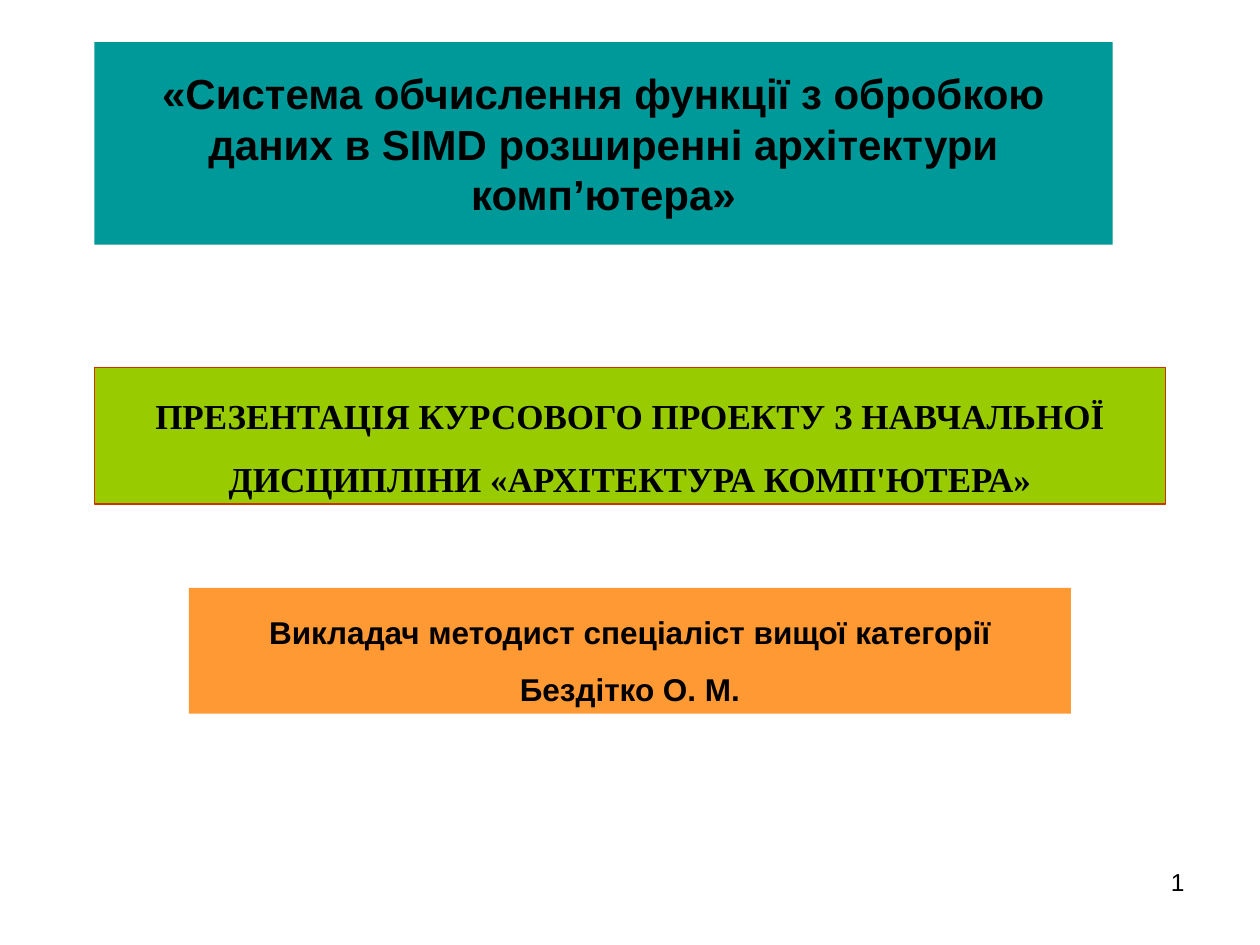
from dataclasses import dataclass

from pptx import Presentation
from pptx.dml.color import RGBColor
from pptx.enum.shapes import MSO_SHAPE as Shape
from pptx.enum.text import MSO_ANCHOR as Anchor, MSO_AUTO_SIZE as AutoSize, PP_ALIGN as Align
from pptx.util import Cm, Pt


@dataclass(frozen=True)
class Theme:
    teal: str = "009999"
    green: str = "99CC00"
    orange: str = "FF9933"
    red: str = "CC3300"
    white: str = "FFFFFF"
    ink: str = "000000"
    sans: str = "Arial"
    serif: str = "Times New Roman"
    title_size: int = 24
    subtitle_size: int = 20
    author_size: int = 18
    number_size: int = 14


THEME = Theme()


def write_text(shape, text, *, size, font=THEME.sans, bold=True,
               align=Align.CENTER, anchor=Anchor.TOP, line_spacing=1.0):
    frame = shape.text_frame
    frame.word_wrap = True
    frame.auto_size = AutoSize.NONE
    frame.vertical_anchor = anchor
    frame.margin_left = frame.margin_right = Cm(0.25)
    frame.margin_top = frame.margin_bottom = Cm(0.13)
    frame.text = text
    paragraph = frame.paragraphs[0]
    paragraph.alignment = align
    paragraph.line_spacing = line_spacing
    paragraph.space_before = Pt(0)
    run_font = paragraph.runs[0].font
    run_font.name, run_font.size, run_font.bold = font, Pt(size), bold
    run_font.color.rgb = RGBColor.from_string(THEME.ink)


def paint(shape, fill, line=None):
    shape.fill.solid()
    shape.fill.fore_color.rgb = RGBColor.from_string(fill)
    if line:
        shape.line.color.rgb = RGBColor.from_string(line)
        shape.line.width = Pt(0.75)
    else:
        shape.line.fill.background()


def add_title(slide, left, top, width, height):
    title = slide.shapes.title
    title.left, title.top, title.width, title.height = left, top, width, height
    paint(title, THEME.teal)
    write_text(title, "«Система обчислення функції з обробкою даних в SIMD "
               "розширенні архітектури комп’ютера»",
               size=THEME.title_size, anchor=Anchor.MIDDLE)


def add_banner(slide, box, text, fill, line=None, **text_format):
    banner = slide.shapes.add_shape(Shape.RECTANGLE, *box)
    banner.shadow.inherit = False
    paint(banner, fill, line)
    write_text(banner, text, line_spacing=1.5, **text_format)


def add_slide_number(slide, left, top, width, height):
    number = slide.shapes.add_textbox(left, top, width, height)
    write_text(number, "1", size=THEME.number_size, bold=False, align=Align.RIGHT)


def build_cover(presentation):
    slide = presentation.slides.add_slide(presentation.slide_layouts[5])
    slide.background.fill.solid()
    slide.background.fill.fore_color.rgb = RGBColor.from_string(THEME.white)

    # Project title
    add_title(slide, Cm(1.9), Cm(0.85), Cm(20.53), Cm(4.08))

    # Course and author banners
    add_banner(slide, (Cm(1.9), Cm(7.41), Cm(21.6), Cm(2.75)),
               "ПРЕЗЕНТАЦІЯ КУРСОВОГО ПРОЕКТУ З НАВЧАЛЬНОЇ "
               "ДИСЦИПЛІНИ «АРХІТЕКТУРА КОМП'ЮТЕРА»",
               THEME.green, THEME.red, size=THEME.subtitle_size, font=THEME.serif)
    add_banner(slide, (Cm(3.81), Cm(11.85), Cm(17.78), Cm(2.54)),
               "Викладач методист спеціаліст вищої категорії Бездітко О. М.",
               THEME.orange, size=THEME.author_size)

    # Slide number
    add_slide_number(slide, Cm(18.2), Cm(17.35), Cm(5.93), Cm(1.32))


def main():
    presentation = Presentation()
    presentation.slide_width, presentation.slide_height = Cm(25.4), Cm(19.05)
    build_cover(presentation)
    presentation.save("out.pptx")


if __name__ == "__main__":
    main()
